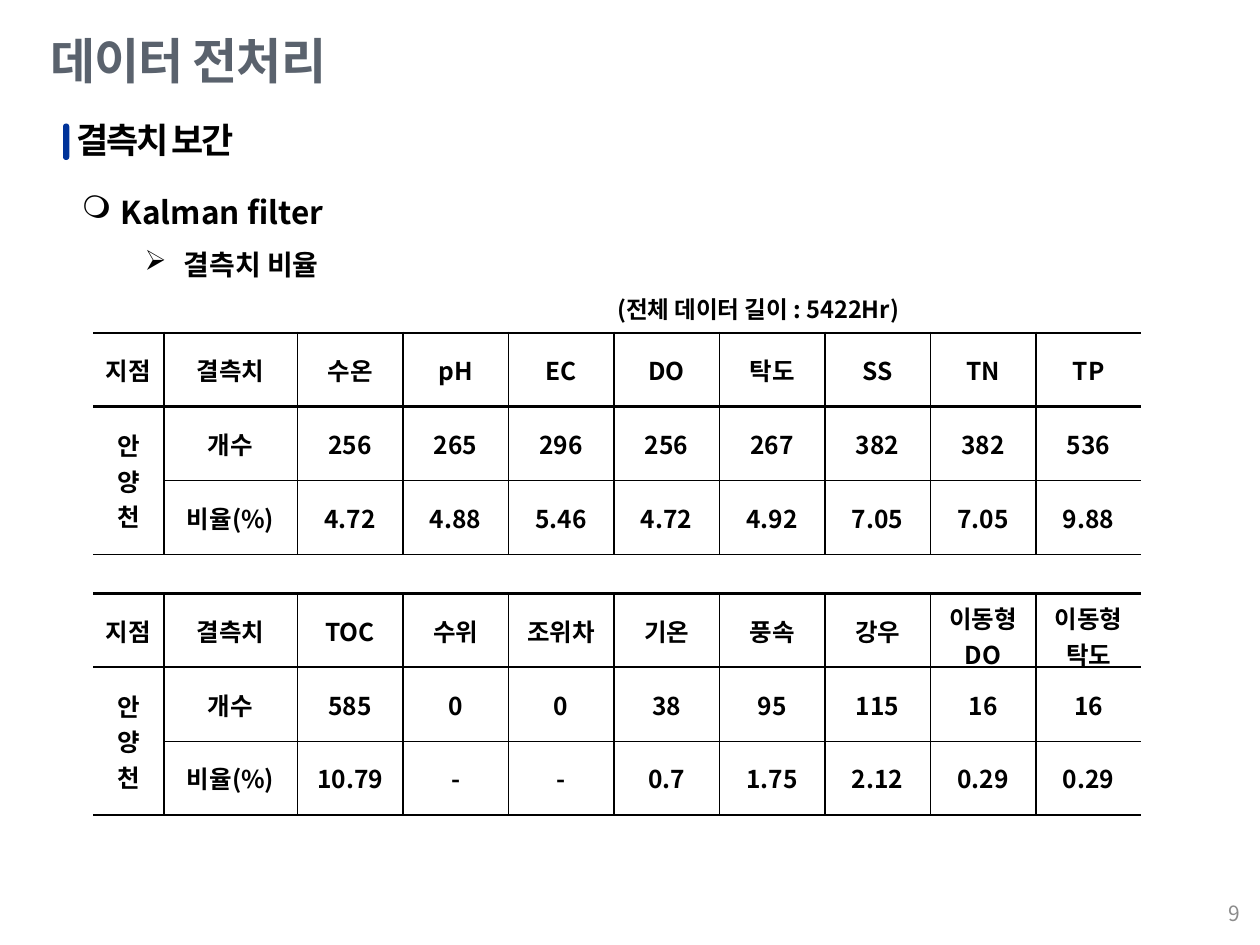
import pptx
import pptx.dml.color
import pptx.enum.shapes
import pptx.enum.text
import pptx.oxml.ns
import pptx.util
from lxml import etree

Inches = pptx.util.Inches
Pt = pptx.util.Pt
qn = pptx.oxml.ns.qn
ALIGN = pptx.enum.text.PP_ALIGN
ANCHOR = pptx.enum.text.MSO_ANCHOR

FONT = "Noto Sans CJK KR"
COLORS = {"title": "5A626D", "accent": "003399", "text": "000000", "page": "8C8C8C"}
THIN, THICK = 1, 1.5

QUALITY_ROWS = [
    ["지점", "결측치", "수온", "pH", "EC", "DO", "탁도", "SS", "TN", "TP"],
    ["안양천", "개수", "256", "265", "296", "256", "267", "382", "382", "536"],
    ["", "비율(%)", "4.72", "4.88", "5.46", "4.72", "4.92", "7.05", "7.05", "9.88"],
]
WEATHER_ROWS = [
    ["지점", "결측치", "TOC", "수위", "조위차", "기온", "풍속", "강우", "이동형\nDO", "이동형\n탁도"],
    ["안양천", "개수", "585", "0", "0", "38", "95", "115", "16", "16"],
    ["", "비율(%)", "10.79", "-", "-", "0.7", "1.75", "2.12", "0.29", "0.29"],
]


def rgb(name):
    return pptx.dml.color.RGBColor.from_string(COLORS[name])


def write(p, text, size=14, color="text", bold=True, align=None, spacing=None):
    """Add one formatted run to a paragraph."""
    p.alignment = align
    r = p.add_run()
    r.text = text
    r.font.size = Pt(size)
    r.font.bold = bold
    r.font.name = FONT
    r.font.color.rgb = rgb(color)
    rpr = r.font._element
    etree.SubElement(rpr, qn("a:ea"), typeface=FONT)
    if spacing is not None:
        rpr.set("spc", str(round(spacing * 100)))


def add_box(slide, x, y, w, h, wrap=True, inset=None, anchor=ANCHOR.TOP):
    tf = slide.shapes.add_textbox(Inches(x), Inches(y), Inches(w), Inches(h)).text_frame
    tf.word_wrap = wrap
    tf.vertical_anchor = anchor
    if inset is not None:
        tf.margin_left = tf.margin_right = Inches(inset)
        tf.margin_top = tf.margin_bottom = Inches(inset)
    return tf


def set_bullet(p, char, left, hanging, level):
    p.level = level
    p.line_spacing = 1.5
    ppr = p._p.get_or_add_pPr()
    ppr.set("marL", str(Inches(left)))
    ppr.set("indent", str(-Inches(hanging)))
    etree.SubElement(ppr, qn("a:buChar"), char=char)


def set_borders(cell, widths):
    """Draw the given sides (L, R, T, B); sides left out get no line."""
    tcpr = cell._tc.get_or_add_tcPr()
    for i, side in enumerate("LRTB"):
        ln = etree.Element(qn("a:ln" + side))
        if side in widths:
            ln.set("w", str(Pt(widths[side])))
            fill = etree.SubElement(ln, qn("a:solidFill"))
            etree.SubElement(fill, qn("a:srgbClr"), val=COLORS["text"])
        else:
            etree.SubElement(ln, qn("a:noFill"))
        tcpr.insert(i, ln)


def add_heading(slide, x, y, w, h):
    # Section heading with its accent bar
    bar = slide.shapes.add_shape(
        pptx.enum.shapes.MSO_SHAPE.ROUNDED_RECTANGLE,
        Inches(x), Inches(y + 0.04), Inches(0.05), Inches(0.29))
    bar.adjustments[0] = 0.5
    bar.shadow.inherit = False
    bar.fill.solid()
    bar.fill.fore_color.rgb = rgb("accent")
    bar.line.fill.background()
    tf = add_box(slide, x + 0.11, y, w - 0.11, h, inset=0)
    write(tf.paragraphs[0], "결측치 보간", size=20, spacing=-1.4)


def add_outline(slide, x, y, w, h):
    tf = add_box(slide, x, y, w, h)
    p = tf.paragraphs[0]
    set_bullet(p, "❍", 0.31, 0.31, 0)
    write(p, "Kalman filter", size=18)
    p = tf.add_paragraph()
    set_bullet(p, "➢", 0.81, 0.31, 1)
    write(p, "결측치 비율", size=16)


def add_missing_table(slide, rows, x, y, w, h):
    n_rows, n_cols = len(rows), len(rows[0])
    table = slide.shapes.add_table(
        n_rows, n_cols, Inches(x), Inches(y), Inches(w), Inches(h)).table
    table.first_row = table.horz_banding = False
    label_widths = [0.56, 1.06]
    value_width = (w - sum(label_widths)) / (n_cols - 2)
    for col, width in zip(table.columns, label_widths + [value_width] * (n_cols - 2)):
        col.width = Inches(width)
    for row in table.rows:
        row.height = Inches(h / n_rows)
    table.cell(1, 0).merge(table.cell(2, 0))

    for i, values in enumerate(rows):
        for j, text in enumerate(values):
            cell = table.cell(i, j)
            cell.fill.background()
            cell.vertical_anchor = ANCHOR.MIDDLE
            site = j == 0 and i > 0
            side = 0.13 if site else 0.08 if i == 2 else 0.1
            cell.margin_left = cell.margin_right = Inches(side)
            cell.margin_top = cell.margin_bottom = Inches(0.07 if site else 0.05)
            # Heavy rules around the header, thin ones elsewhere, open outer sides
            widths = {"T": THICK if i < 2 else THIN, "B": THICK if i == 0 else THIN}
            if j > 0:
                widths["L"] = THIN
            if j < n_cols - 1:
                widths["R"] = THIN
            set_borders(cell, widths)
            if not text:
                continue
            tf = cell.text_frame
            for k, line in enumerate(text.split("\n")):
                p = tf.add_paragraph() if k else tf.paragraphs[0]
                write(p, line, align=ALIGN.CENTER)


def main():
    prs = pptx.Presentation()
    prs.slide_width, prs.slide_height = Inches(10), Inches(7.5)
    slide = prs.slides.add_slide(prs.slide_layouts[6])

    # Title and outline
    tf = add_box(slide, 0.3, 0.19, 2.49, 0.57, wrap=False)
    write(tf.paragraphs[0], "데이터 전처리", size=28, color="title", spacing=-0.5)
    add_heading(slide, 0.5, 0.94, 9.24, 0.34)
    add_outline(slide, 0.55, 1.33, 9.19, 1.76)

    # Page number
    tf = add_box(slide, 7.61, 7.05, 2.33, 0.4, anchor=ANCHOR.MIDDLE)
    write(tf.paragraphs[0], "9", size=12, color="page", bold=False, align=ALIGN.RIGHT)

    # Tables and the note above them
    for rows, top in ((QUALITY_ROWS, 2.64), (WEATHER_ROWS, 4.71)):
        add_missing_table(slide, rows, 0.74, top, 8.32, 1.76)
    tf = add_box(slide, 4.8, 2.29, 3.3, 0.33)
    write(tf.paragraphs[0], "(전체 데이터 길이 : 5422Hr)", size=13.5)

    prs.save("out.pptx")


if __name__ == "__main__":
    main()
